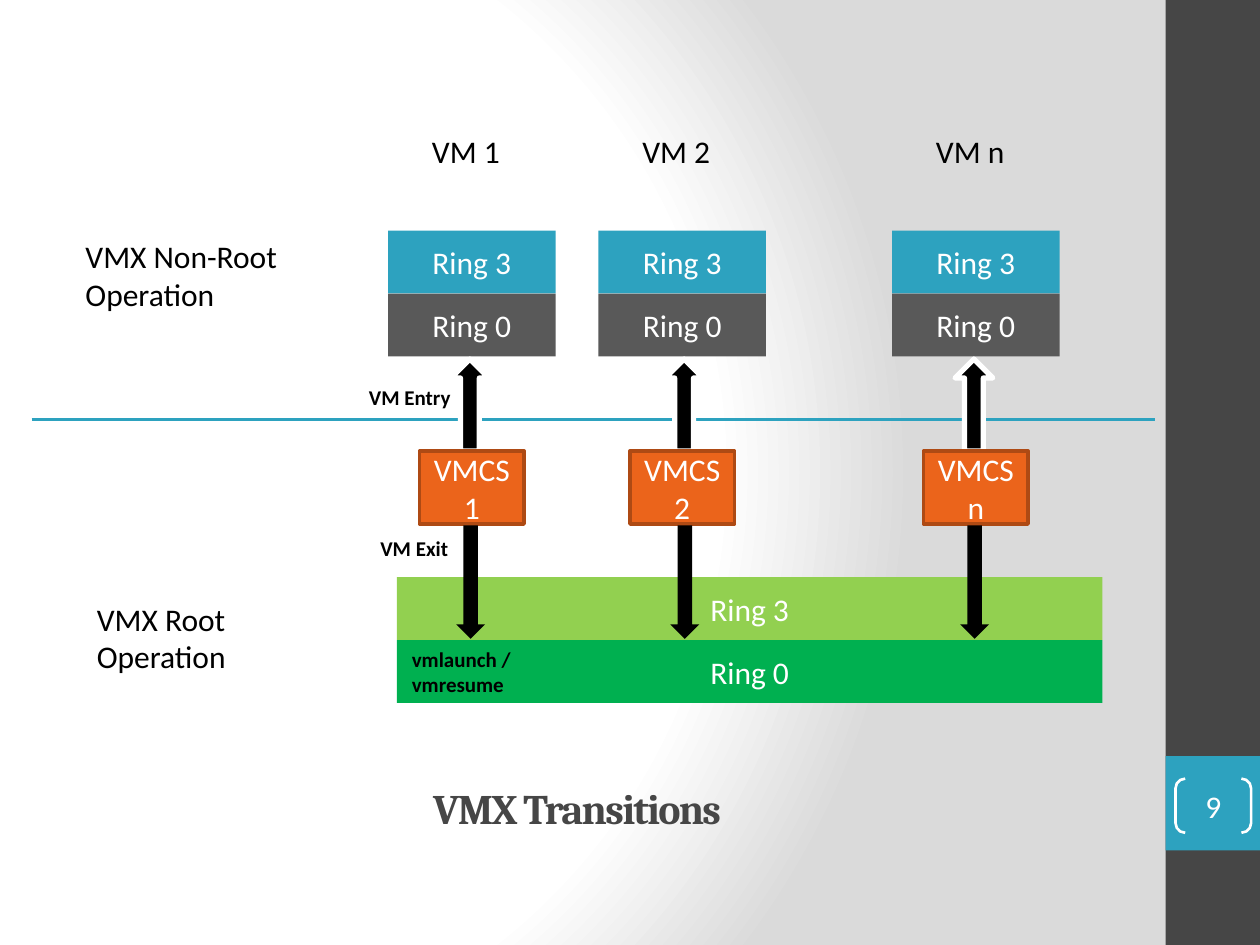
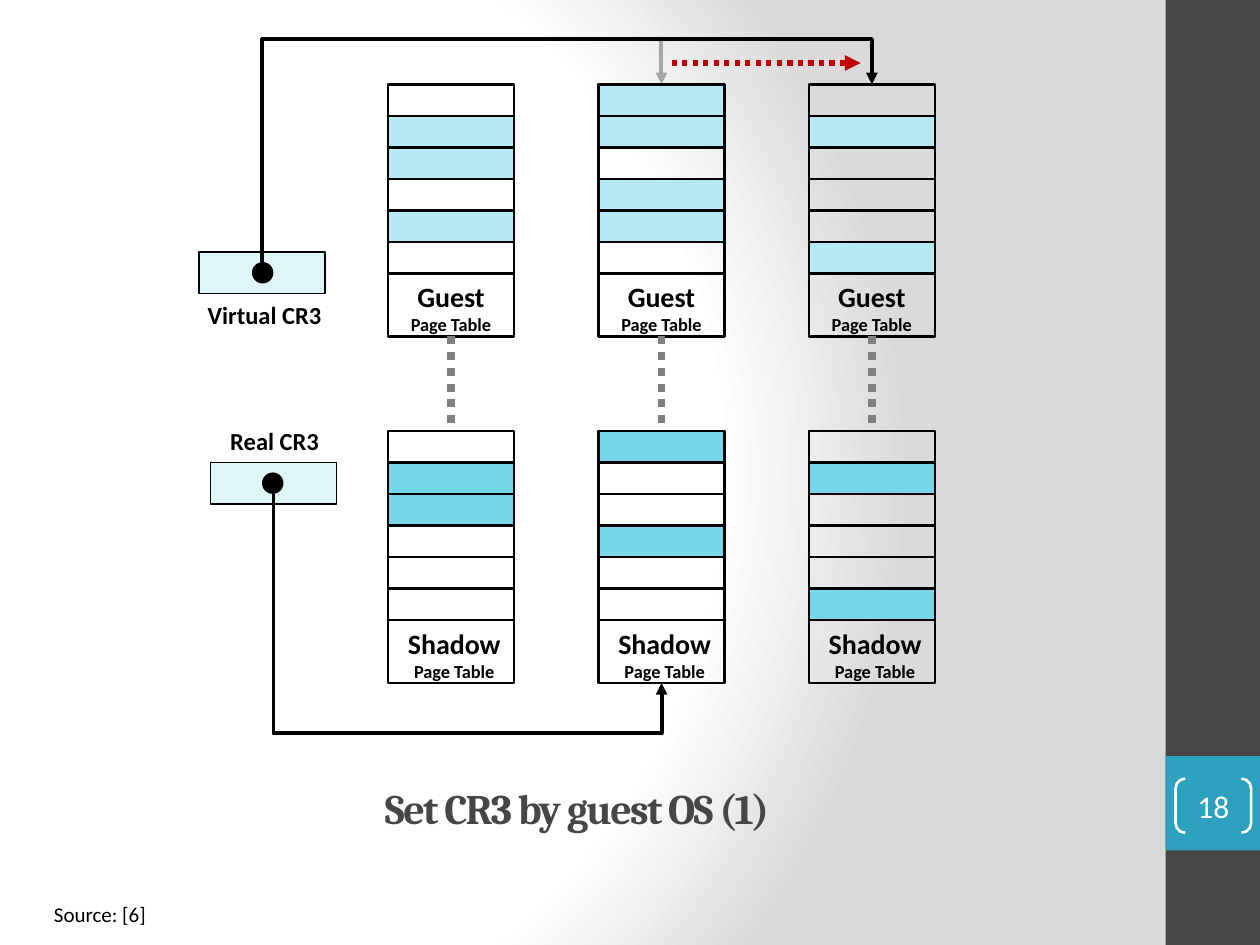
from lxml import etree
from pptx import Presentation
from pptx.dml.color import RGBColor
from pptx.enum.dml import MSO_LINE
from pptx.enum.shapes import MSO_CONNECTOR, MSO_SHAPE
from pptx.enum.text import MSO_ANCHOR, MSO_AUTO_SIZE, PP_ALIGN
from pptx.oxml.ns import qn
from pptx.util import Inches, Pt

RECT, OVAL = MSO_SHAPE.RECTANGLE, MSO_SHAPE.OVAL
UP, DOWN = MSO_SHAPE.UP_ARROW, MSO_SHAPE.DOWN_ARROW
BRACKETS = MSO_SHAPE.DOUBLE_BRACKET
STRAIGHT, ELBOW = MSO_CONNECTOR.STRAIGHT, MSO_CONNECTOR.ELBOW
DOTTED = MSO_LINE.ROUND_DOT
TOP, MIDDLE, BOTTOM = MSO_ANCHOR.TOP, MSO_ANCHOR.MIDDLE, MSO_ANCHOR.BOTTOM
LEFT, CENTER = PP_ALIGN.LEFT, PP_ALIGN.CENTER
FIT_SHAPE, FIXED = MSO_AUTO_SIZE.SHAPE_TO_FIT_TEXT, MSO_AUTO_SIZE.NONE

COLORS = {
    "black": "000000", "white": "FFFFFF", "backdrop": "DADADA",
    "band": "464646", "accent": "2DA2BF", "guest ring 0": "595959",
    "vmcs": "EB641B", "vmcs edge": "AE4A14",
    "root ring 3": "92D050", "root ring 0": "00B050",
    "guest row": "B5E9F4", "shadow row": "78D6EA", "register": "DEF5FA",
    "old target": "A6A6A6", "pairing": "808080", "switch": "C00000",
}
FORMATS = {
    "title": {"name": "Cambria", "size": Pt(24), "bold": True},
    "body": {"name": "Calibri", "size": Pt(18)},
    "note": {"name": "Calibri", "size": Pt(12)},
    "step": {"name": "Calibri", "size": Pt(12), "bold": True},
    "register": {"name": "Calibri", "size": Pt(14), "bold": True},
    "table name": {"name": "Calibri", "size": Pt(16), "bold": True},
    "table kind": {"name": "Calibri", "size": Pt(10.5), "bold": True},
}


def rgb(color):
    return RGBColor.from_string(COLORS[color])


class Deck:
    def __init__(self):
        self.prs = Presentation()
        self.prs.slide_width, self.prs.slide_height = Inches(10), Inches(7.5)
        self.shapes = None
        self.set_backdrop()

    def set_backdrop(self):
        """Radial gradient shared by all slides through the master."""
        master = self.prs.slide_master
        master.background.fill.solid()
        solid = master.element.find(".//" + qn("p:bgPr")).find(qn("a:solidFill"))
        gradient = etree.Element(qn("a:gradFill"), rotWithShape="1")
        stops = etree.SubElement(gradient, qn("a:gsLst"))
        for position, color in ((0, "white"), (75, "white"), (100, "backdrop")):
            stop = etree.SubElement(stops, qn("a:gs"), pos=str(position * 1000))
            etree.SubElement(stop, qn("a:srgbClr"), val=COLORS[color])
        circle = etree.SubElement(gradient, qn("a:path"))
        circle.set("path", "circle")
        etree.SubElement(circle, qn("a:fillToRect"),
                         l="20000", t="50000", r="100000", b="50000")
        solid.getparent().replace(solid, gradient)

    def new_slide(self, title, number):
        """Start a slide with its side band, title and page number."""
        self.shapes = self.prs.slides.add_slide(self.prs.slide_layouts[6]).shapes
        self.shape(RECT, 9.25, 0, 0.75, 7.5, "band")
        self.shape(RECT, 9.25, 6, 0.75, 0.75, "accent")
        heading = self.label(title, 0.33, 6.01, 8.5, 0.65, "title", "band",
                             align=CENTER, anchor=BOTTOM, fit=FIXED)
        for properties in heading.element.iter(qn("a:rPr")):
            properties.set("spc", "-100")
        page = self.shape(BRACKETS, 9.33, 6.18, 0.6, 0.43, line=("white", 1.5),
                          text=number, margin=0)
        page.adjustments[0] = 0.179

    def fill_text(self, frame, lines, color, align, anchor, margin=None):
        """Fill a text frame with (text, format) lines."""
        frame.vertical_anchor = anchor
        if margin is not None:
            for side in ("left", "top", "right", "bottom"):
                setattr(frame, "margin_" + side, Inches(margin))
        for i, (text, style) in enumerate(lines):
            paragraph = frame.add_paragraph() if i else frame.paragraphs[0]
            paragraph.alignment = align
            run = paragraph.add_run()
            run.text = text
            for name, value in FORMATS[style].items():
                setattr(run.font, name, value)
            run.font.color.rgb = rgb(color)

    def stroke(self, line, color, width):
        line.color.rgb = rgb(color)
        line.width = Pt(width)

    def shape(self, kind, x, y, w, h, fill=None, line=None, text=None, margin=None):
        shape = self.shapes.add_shape(kind, Inches(x), Inches(y), Inches(w), Inches(h))
        shape.shadow.inherit = False
        if fill:
            shape.fill.solid()
            shape.fill.fore_color.rgb = rgb(fill)
        else:
            shape.fill.background()
        if line:
            self.stroke(shape.line, *line)
        else:
            shape.line.fill.background()
        if text:
            self.fill_text(shape.text_frame, [(text, "body")], "white", CENTER, MIDDLE, margin)
        return shape

    def label(self, text, x, y, w, h, style="body", color="black",
              align=LEFT, anchor=TOP, fit=FIT_SHAPE, wrap=True):
        """Text box; text is a string or a list of (text, format) lines."""
        box = self.shapes.add_textbox(Inches(x), Inches(y), Inches(w), Inches(h))
        box.text_frame.word_wrap = wrap
        box.text_frame.auto_size = fit
        lines = [(text, style)] if isinstance(text, str) else text
        self.fill_text(box.text_frame, lines, color, align, anchor)
        return box

    def connector(self, x1, y1, x2, y2, color, width, dash=None, arrow=False,
                  kind=STRAIGHT):
        link = self.shapes.add_connector(kind, Inches(x1), Inches(y1), Inches(x2), Inches(y2))
        self.stroke(link.line, color, width)
        if dash:
            link.line.dash_style = dash
        properties = link.element.spPr
        if arrow:
            etree.SubElement(properties.find(qn("a:ln")), qn("a:tailEnd"), type="triangle")
        etree.SubElement(properties, qn("a:effectLst"))
        return link

    def bent_arrow(self, x1, y1, x2, y2, turn_y, color):
        """Arrow running vertically to turn_y, rightwards, then to its end."""
        w, h = abs(y2 - y1), x2 - x1
        left, top = (x1 + x2 - w) / 2, (y1 + y2 - h) / 2
        link = self.connector(left, top, left + w, top + h, color, 2.25,
                              arrow=True, kind=ELBOW)
        rising = y2 < y1
        frame = link.element.spPr.find(qn("a:xfrm"))
        frame.set("rot", str((90 if rising else 270) * 60000))
        frame.set("flipH", "1")
        frame.set("flipV", "1" if rising else "0")
        guides = link.element.spPr.find(qn("a:prstGeom")).find(qn("a:avLst"))
        bend = round((turn_y - y1) / (y2 - y1) * 100000)
        etree.SubElement(guides, qn("a:gd"), name="adj1", fmla=f"val {bend}")

    def page_table(self, x, y, name, label_w, used_rows, fill):
        """Grouped frame, row lines and name, with the used rows on top."""
        row_h, rows, edge = 0.25, 6, ("black", 1.5)
        slide_shapes = self.shapes
        self.shapes = slide_shapes.add_group_shape().shapes
        self.shape(RECT, x, y, 1, 2, line=edge)
        for row in range(rows + 1):
            self.connector(x, y + row * row_h, x + 1, y + row * row_h, *edge)
        self.label([(name, "table name"), ("Page Table", "table kind")],
                   x + 0.05, y + rows * row_h, label_w, 0.56, align=CENTER, wrap=False)
        self.shapes = slide_shapes
        for row in used_rows:
            self.shape(RECT, x, y + row * row_h, 1, row_h, fill, edge)

    def register(self, x, y, name, name_x, name_y):
        self.shape(RECT, x, y, 1, 0.33, "register", ("black", 0.75))
        self.label(name, name_x, name_y, 1.2, 0.34, "register", align=CENTER)


def vmx_transitions(deck):
    deck.new_slide("VMX Transitions", "9")

    # Modes and the border between them
    deck.connector(0.25, 3.33, 9.17, 3.33, "accent", 2)
    deck.label("VMX Non-Root Operation", 0.58, 1.83, 1.92, 0.71)
    deck.label("VMX Root Operation", 0.67, 4.71, 1.92, 0.71)

    # Host rings
    deck.shape(RECT, 3.15, 4.58, 5.6, 0.5, "root ring 3", text="Ring 3")
    deck.shape(RECT, 3.15, 5.08, 5.6, 0.5, "root ring 0", text="Ring 0")

    # Virtual machines with their control structures and transitions
    for vm, x, entry_x in (("1", 3.08, 3.58), ("2", 4.75, 5.28), ("n", 7.08, 7.58)):
        deck.label(f"VM {vm}", x + 0.25, 1, 0.83, 0.4)
        deck.shape(RECT, x, 1.83, 1.33, 0.5, "accent", text="Ring 3")
        deck.shape(RECT, x, 2.33, 1.33, 0.5, "guest ring 0", text="Ring 0")
        deck.shape(UP, entry_x, 2.85, 0.3, 0.73, "black", ("white", 3))
        deck.shape(RECT, x + 0.25, 3.58, 0.83, 0.58, "vmcs", ("vmcs edge", 2),
                   text=f"VMCS {vm}")
        deck.shape(DOWN, entry_x + 0.04, 4.17, 0.23, 0.9, "black")

    # Names of the transitions
    deck.label("VM Entry", 2.83, 3, 0.92, 0.3, "step")
    deck.label("VM Exit", 2.92, 4.2, 0.92, 0.3, "step")
    deck.label("vmlaunch / vmresume", 3.17, 5.08, 1.08, 0.5, "step")


def set_cr3(deck):
    deck.new_slide("Set CR3 by guest OS (1)", "18")
    guest_y, shadow_y = 0.67, 3.42

    # Former target of the virtual register
    deck.bent_arrow(2.08, 2.08, 5.25, guest_y, 0.31, "old target")

    # Pairs of guest and shadow tables
    used_rows = (((1, 2, 4), (1, 2)), ((0, 1, 3, 4), (0, 3)), ((1, 5), (1, 5)))
    for i, (guest_rows, shadow_rows) in enumerate(used_rows):
        x = 3.08 + i * 1.67
        deck.page_table(x, guest_y, "Guest", 0.9, guest_rows, "guest row")
        deck.page_table(x, shadow_y, "Shadow", 0.95, shadow_rows, "shadow row")
        deck.connector(x + 0.5, guest_y + 2, x + 0.5, shadow_y, "pairing", 4.5, DOTTED)

    # Registers and the tables they point to
    deck.register(1.58, 2, "Virtual CR3", 1.5, 2.33)
    deck.register(1.67, 3.67, "Real CR3", 1.58, 3.33)
    deck.bent_arrow(2.08, 2.08, 6.92, guest_y, 0.31, "black")
    deck.bent_arrow(2.17, 3.92, 5.25, shadow_y + 2, 5.82, "black")
    for x, y in ((2, 2.08), (2.08, 3.75)):
        deck.shape(OVAL, x, y, 0.17, 0.17, "black")

    # Switch to the new table, and the source
    deck.connector(5.33, 0.5, 6.83, 0.5, "switch", 3, DOTTED, arrow=True)
    deck.label("Source: [6]", 0.33, 7.11, 8.5, 0.3, "note")


def main():
    deck = Deck()
    vmx_transitions(deck)
    set_cr3(deck)
    deck.prs.save("out.pptx")


if __name__ == "__main__":
    main()
